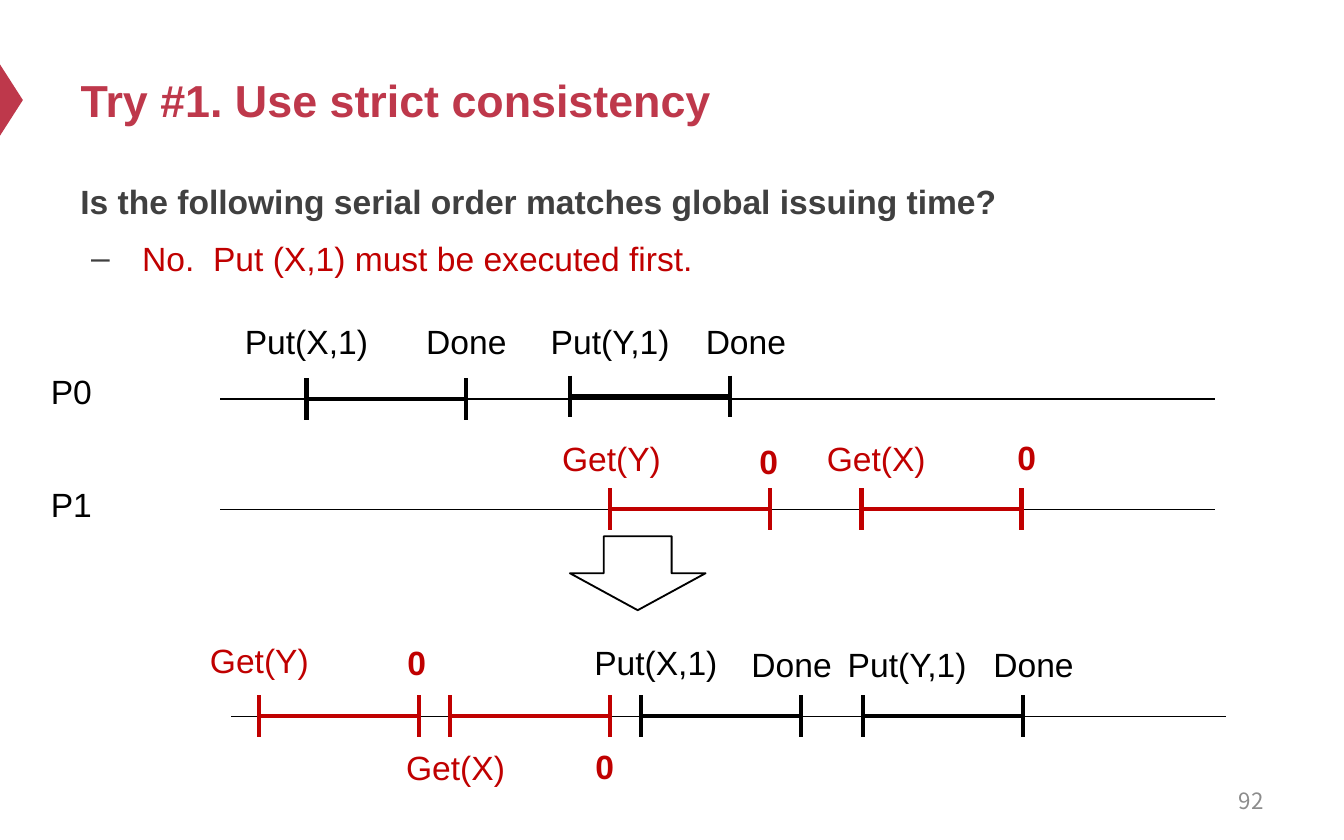
from lxml import etree
from pptx import Presentation
from pptx import util as u
from pptx.dml.color import RGBColor
from pptx.enum import shapes, text
from pptx.oxml.ns import qn

CRIMSON, GREY, PALE = "BE384B", "404040", "8C8C8C"
BLACK, RED = "000000", "C00000"
OPERATION_LENGTH, TICK_HEIGHT = 1.19, 0.31
LABEL_WIDTH, LABEL_HEIGHT = 1.28, 0.4


def color(value):
    return RGBColor.from_string(value)


def box(left, top, width, height):
    return [u.Inches(value) for value in (left, top, width, height)]


class SlideBuilder:
    """Holds the text style and the slide being filled."""

    def __init__(self, slide, font="Arial", size=18):
        self.slide, self.font, self.size = slide, font, size

    def run(self, paragraph, content, fill, bold=False, size=None, font=None):
        run = paragraph.add_run()
        run.text = content
        run.font.name = font or self.font
        run.font.size = u.Pt(size or self.size)
        run.font.bold = bold
        run.font.color.rgb = color(fill)

    def title(self, content, place):
        shape = self.slide.shapes.title
        shape.left, shape.top, shape.width, shape.height = box(*place)
        frame = shape.text_frame
        frame.vertical_anchor = text.MSO_ANCHOR.MIDDLE
        paragraph = frame.paragraphs[0]
        paragraph.alignment = text.PP_ALIGN.LEFT
        self.run(paragraph, content, CRIMSON, True, 24)

    def text_box(self, place, anchor=text.MSO_ANCHOR.TOP):
        frame = self.slide.shapes.add_textbox(*box(*place)).text_frame
        frame.word_wrap = True
        frame.vertical_anchor = anchor
        return frame

    def label(self, content, left, top, fill=BLACK, width=LABEL_WIDTH,
              align=text.PP_ALIGN.CENTER):
        paragraph = self.text_box((left, top, width, LABEL_HEIGHT)).paragraphs[0]
        paragraph.alignment = align
        self.run(paragraph, content, fill, bold=content == "0")

    def bullet(self, paragraph, mark, fill, margin, indent):
        properties = paragraph._p.get_or_add_pPr()
        properties.set("marL", str(u.Inches(margin)))
        properties.set("indent", str(u.Inches(indent)))
        holder = etree.SubElement(properties, qn("a:buClr"))
        etree.SubElement(holder, qn("a:srgbClr"), val=fill)
        etree.SubElement(properties, qn("a:buFont"), typeface=self.font)
        etree.SubElement(properties, qn("a:buChar"), char=mark)

    def line(self, start, end, fill=BLACK, weight=0.75, parent=None):
        connector = (parent or self.slide).shapes.add_connector(
            shapes.MSO_CONNECTOR.STRAIGHT, *box(*start, *end))
        connector.line.color.rgb = color(fill)
        connector.line.width = u.Pt(weight)
        etree.SubElement(connector._element.spPr, qn("a:effectLst"))

    def operation(self, left, y, fill):
        """Draw a bar with a tick at its start and at its end."""
        group = self.slide.shapes.add_group_shape()
        right, half = left + OPERATION_LENGTH, TICK_HEIGHT / 2
        for x in (left, right):
            self.line((x, y - half), (x, y + half), fill, 2.25, group)
        self.line((left, y), (right, y), fill, 2.25, group)

    def shape(self, kind, place, fill=None, outline=None, rotation=0):
        shape = self.slide.shapes.add_shape(kind, *box(*place))
        shape.shadow.inherit = False
        shape.rotation = rotation
        if fill:
            shape.fill.solid()
            shape.fill.fore_color.rgb = color(fill)
        else:
            shape.fill.background()
        if outline:
            shape.line.color.rgb = color(outline)
            shape.line.width = u.Pt(1)
        else:
            shape.line.fill.background()


def add_question(builder):
    frame = builder.text_box((0.5, 1.24, 9, 1))
    question, answer = frame.paragraphs[0], frame.add_paragraph()
    for paragraph in (question, answer):
        paragraph.line_spacing = 1.2
    answer.space_before = u.Pt(4.5)
    builder.bullet(answer, "–", GREY, 0.46, -0.38)
    builder.run(question, "Is the following serial order matches global issuing time?",
                GREY, True)
    builder.run(answer, "No.  Put (X,1) must be executed first.", RED)


def add_timelines(builder):
    for left, y in ((1.64, 2.97), (1.64, 3.79), (1.72, 5.33)):
        builder.line((left, y), (left + 7.4, y))
    for name, top in (("P0", 2.71), ("P1", 3.55)):
        builder.label(name, 0.28, top, width=0.71, align=text.PP_ALIGN.LEFT)

    # bar left, bar y, colour, then call and result as (text, left, top)
    operations = [
        (2.28, 2.97, BLACK, ("Put(X,1)", 1.64, 2.34), ("Done", 2.83, 2.34)),
        (4.24, 2.95, BLACK, ("Put(Y,1)", 3.9, 2.34), ("Done", 4.91, 2.34)),
        (4.54, 3.79, RED, ("Get(Y)", 3.91, 3.21), ("0", 5.08, 3.23)),
        (6.41, 3.79, RED, ("Get(X)", 5.88, 3.21), ("0", 7, 3.2)),
        (1.93, 5.33, RED, ("Get(Y)", 1.29, 4.71), ("0", 2.46, 4.73)),
        (3.35, 5.33, RED, ("Get(X)", 2.75, 5.51), ("0", 3.86, 5.5)),
        (4.77, 5.33, BLACK, ("Put(X,1)", 4.24, 4.73), ("Done", 5.25, 4.74)),
        (6.42, 5.33, BLACK, ("Put(Y,1)", 6.11, 4.74), ("Done", 7.05, 4.74)),
    ]
    for left, y, fill, call, result in operations:
        builder.operation(left, y, fill)
        builder.label(*call, fill)
        builder.label(*result, fill)


def add_page_number(builder):
    frame = builder.text_box((7.17, 5.79, 2.33, 0.33), text.MSO_ANCHOR.MIDDLE)
    paragraph = frame.paragraphs[0]
    paragraph.alignment = text.PP_ALIGN.RIGHT
    builder.run(paragraph, "92", PALE, size=12, font="Noto Sans CJK SC")


def main():
    presentation = Presentation()
    presentation.slide_width, presentation.slide_height = u.Inches(10), u.Inches(6.25)
    title_only = presentation.slide_layouts[5]
    builder = SlideBuilder(presentation.slides.add_slide(title_only))
    kinds = shapes.MSO_SHAPE
    builder.shape(kinds.ISOSCELES_TRIANGLE, (-0.18, 0.66, 0.53, 0.17), CRIMSON, rotation=90)
    builder.title("Try #1. Use strict consistency", (0.5, 0.25, 9, 0.98))
    add_question(builder)
    add_timelines(builder)
    builder.shape(kinds.DOWN_ARROW, (4.24, 3.99, 1.01, 0.55), outline=BLACK)
    add_page_number(builder)
    presentation.save("out.pptx")


if __name__ == "__main__":
    main()
